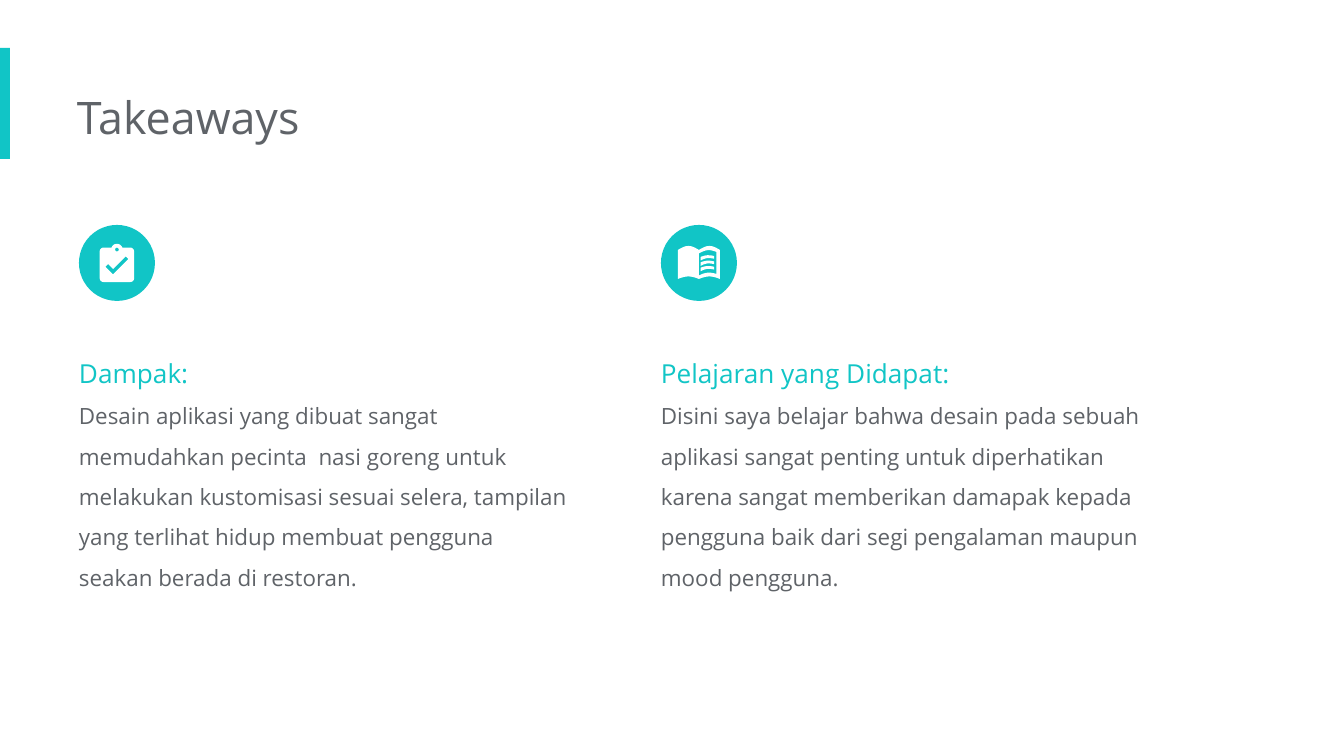
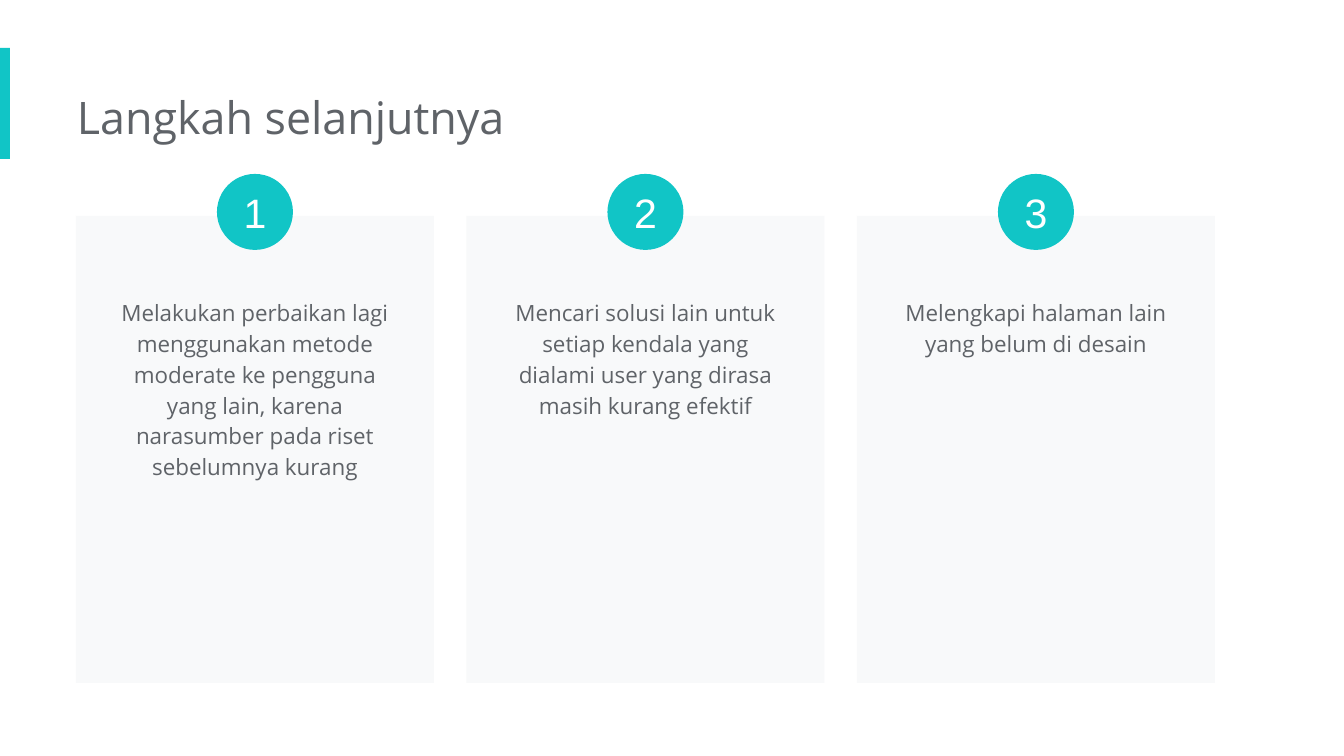
import math

import pptx
import pptx.dml.color
import pptx.enum.shapes
import pptx.enum.text
import pptx.util

TEAL = "11C5C6"
GRAY = "5F6368"
CARD = "F8F9FA"
WHITE = "FFFFFF"
FONT = "Open Sans"
EMU_PER_PX = 914400 / 134.4
DISC = 76
INSET = 13

SHAPE = pptx.enum.shapes.MSO_SHAPE
ALIGN = pptx.enum.text.PP_ALIGN
ANCHOR = pptx.enum.text.MSO_ANCHOR
AUTO_SIZE = pptx.enum.text.MSO_AUTO_SIZE

TAKEAWAYS = [
    ("Dampak:",
     "Desain aplikasi yang dibuat sangat memudahkan pecinta  nasi goreng untuk "
     "melakukan kustomisasi sesuai selera, tampilan yang terlihat hidup membuat "
     "pengguna seakan berada di restoran."),
    ("Pelajaran yang Didapat:",
     "Disini saya belajar bahwa desain pada sebuah aplikasi sangat penting untuk "
     "diperhatikan karena sangat memberikan damapak kepada pengguna baik dari segi "
     "pengalaman maupun mood pengguna."),
]
STEPS = [
    ("Melakukan perbaikan lagi menggunakan metode moderate ke pengguna yang lain, "
     "karena narasumber pada riset sebelumnya kurang", 215),
    ("Mencari solusi lain untuk setiap kendala yang dialami user yang dirasa masih "
     "kurang efektif", 152),
    ("Melengkapi halaman lain yang belum di desain", 90),
]


def px(n):
    return pptx.util.Emu(round(n * EMU_PER_PX))


def color(value):
    return pptx.dml.color.RGBColor.from_string(value)


def paint(sp, fill):
    sp.shadow.inherit = False
    sp.fill.solid()
    sp.fill.fore_color.rgb = color(fill)
    sp.line.fill.background()
    return sp


def add_block(s, kind, x, y, w, h, fill):
    return paint(s.shapes.add_shape(kind, px(x), px(y), px(w), px(h)), fill)


def add_run(p, text, size, value, font=FONT):
    r = p.add_run()
    r.text = text
    r.font.size = pptx.util.Pt(size)
    r.font.name = font
    r.font.color.rgb = color(value)


def set_frame(tf, left, other, anchor=ANCHOR.TOP):
    tf.word_wrap = True
    tf.vertical_anchor = anchor
    tf.margin_left = px(left)
    tf.margin_right = tf.margin_top = tf.margin_bottom = px(other)


def add_text(s, x, y, w, h, paragraphs, spacing, align=ALIGN.LEFT, left=0):
    tf = s.shapes.add_textbox(px(x), px(y), px(w), px(h)).text_frame
    set_frame(tf, left, INSET)
    tf.auto_size = AUTO_SIZE.SHAPE_TO_FIT_TEXT
    for i, (text, size, value) in enumerate(paragraphs):
        p = tf.add_paragraph() if i else tf.paragraphs[0]
        p.alignment = align
        p.line_spacing = spacing
        add_run(p, text, size, value)


def add_titled_slide(prs, title):
    s = prs.slides.add_slide(prs.slide_layouts[5])
    add_block(s, SHAPE.RECTANGLE, 0, 48, 10, 111, TEAL)
    sp = s.shapes.title
    sp.left, sp.top, sp.width, sp.height = px(77), px(77), px(724), px(82)
    tf = sp.text_frame
    set_frame(tf, 0, INSET)
    tf.auto_size = AUTO_SIZE.SHAPE_TO_FIT_TEXT
    p = tf.paragraphs[0]
    p.alignment = ALIGN.LEFT
    add_run(p, title, 24, GRAY)
    return s


def add_disc(s, x, y):
    return add_block(s, SHAPE.OVAL, x, y, DISC, DISC, TEAL)


def add_outline(s, cx, cy, contours, unit=1):
    placed = [[(px(cx + x * unit), px(cy + y * unit)) for x, y in c] for c in contours]
    builder = s.shapes.build_freeform(*placed[0][0], scale=1.0)
    builder.add_line_segments(placed[0][1:], close=True)
    for contour in placed[1:]:
        builder.move_to(*contour[0])
        builder.add_line_segments(contour[1:], close=True)
    paint(builder.convert_to_shape(), WHITE)


def arc(cx, cy, radius, start, end, steps=12):
    angles = [math.radians(start + (end - start) * i / steps) for i in range(steps + 1)]
    return [(cx + radius * math.cos(a), cy + radius * math.sin(a)) for a in angles]


def arch(x0, x1, y0, y1, rise, steps=10):
    return [(x0 + (x1 - x0) * t, y0 + (y1 - y0) * t - rise * math.sin(math.pi * t))
            for t in (i / steps for i in range(steps + 1))]


def add_clipboard(s, cx, cy):
    board = (arc(0, -7, 3, -160, -20) + arc(7, -6, 2, -90, 0) + arc(7, 8, 2, 0, 90)
             + arc(-7, 8, 2, 90, 180) + arc(-7, -6, 2, 180, 270))
    hole = arc(0, -7, 1, 0, 330, 11)
    check = [(-2, 6), (-6, 2), (-4.6, 0.6), (-2, 3.2), (4.6, -3.4), (6, -2)]
    add_outline(s, cx, cy, [board, hole, check], 1.91)


def add_book(s, cx, cy):
    cover = (arch(-21, 0, -13, -13, 4) + arch(0, 21, -13, -13, 4)
             + arch(21, 0, 16, 16, 2.5) + arch(0, -21, 16, 16, 2.5))
    page = arch(0, 17.5, -9.5, -11, 2.5) + arch(17.5, 0, 11, 12.5, 2)
    add_outline(s, cx, cy, [cover, page])
    for i in range(3):
        line = arch(1.5, 15, -6, -7, 1.2) + arch(15, 1.5, -4.2, -2.5, 1.5)
        add_outline(s, cx, cy + i * 5.4, [line])


def build_takeaways(prs):
    s = add_titled_slide(prs, "Takeaways")
    for i, (heading, body) in enumerate(TAKEAWAYS):
        x = 79 + i * 582
        add_text(s, x, 329, 507, 278, [(heading, 14, TEAL), (body, 12, GRAY)], 1.5)
        add_disc(s, x, 225)
        draw_icon = (add_clipboard, add_book)[i]
        draw_icon(s, x + DISC / 2, 263)


def build_next_steps(prs):
    s = add_titled_slide(prs, "Langkah selanjutnya")
    card_w = 358
    text_w = 301
    for i, (text, height) in enumerate(STEPS):
        x = 76 + i * 390.5
        add_block(s, SHAPE.RECTANGLE, x, 216, card_w, 467, CARD)
        add_text(s, x + (card_w - text_w) / 2, 282, text_w, height,
                 [(text, 12, GRAY)], 1.15, ALIGN.CENTER, INSET)
        tf = add_disc(s, x + (card_w - DISC) / 2, 174).text_frame
        set_frame(tf, 0, 0, ANCHOR.MIDDLE)
        p = tf.paragraphs[0]
        p.alignment = ALIGN.CENTER
        add_run(p, str(i + 1), 22, WHITE, "Arial")


def main():
    prs = pptx.Presentation()
    prs.slide_width, prs.slide_height = px(1344), px(756)
    build_takeaways(prs)
    build_next_steps(prs)
    prs.save("out.pptx")


if __name__ == "__main__":
    main()
